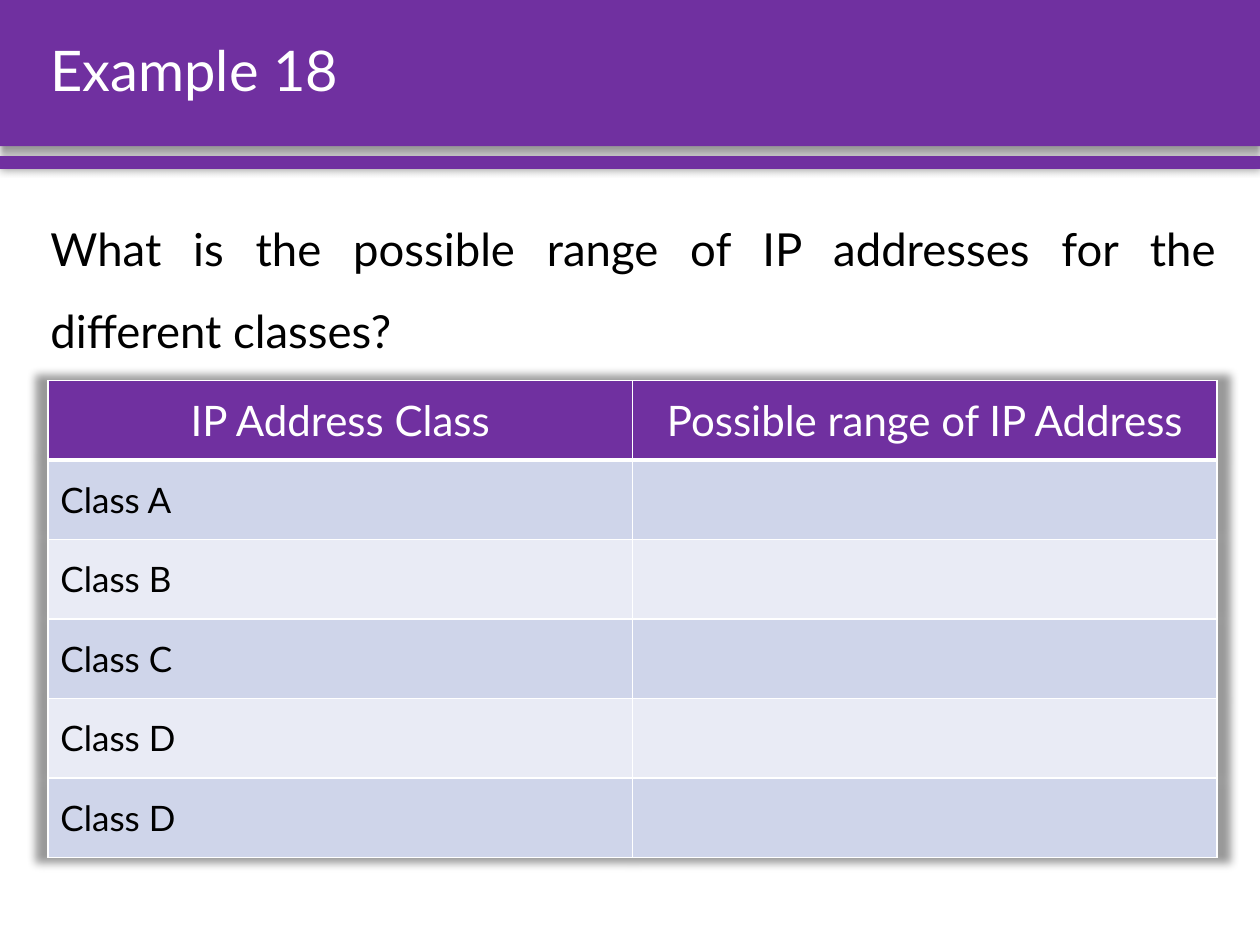
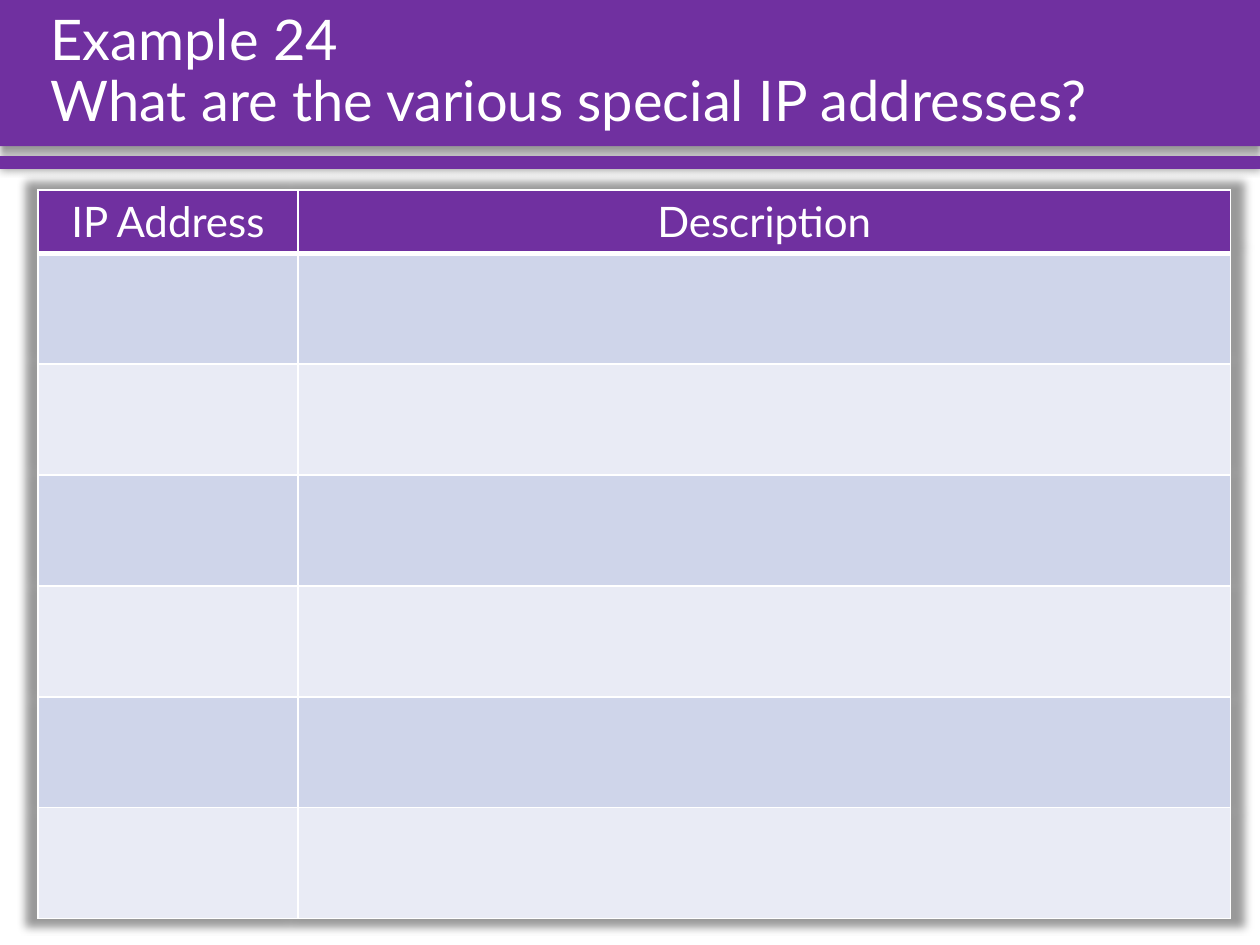
from dataclasses import dataclass
from lxml import etree
from pptx import Presentation
from pptx import util as u
from pptx.dml.color import RGBColor
from pptx.enum import shapes, text
from pptx.oxml import ns


@dataclass(frozen=True)
class Theme:
    font: str = "Lato"
    purple: RGBColor = RGBColor(0x70, 0x30, 0xA0)
    white: RGBColor = RGBColor(0xFF, 0xFF, 0xFF)
    black: RGBColor = RGBColor(0, 0, 0)
    stripes: tuple = (RGBColor(0xCF, 0xD5, 0xEA), RGBColor(0xE9, 0xEB, 0xF5))
    title: int = 32
    question: int = 26
    heading: int = 24
    entry: int = 20


theme = Theme()
deck = Presentation()
deck.slide_width, deck.slide_height = u.Inches(10), u.Inches(7.5)
COL, ROW = deck.slide_width / 100, deck.slide_height / 75


def write(paragraph, words, size, color):
    for i, line in enumerate(words.split("\n")):
        if i:
            paragraph.add_line_break()
        run = paragraph.add_run()
        run.text = line
        run.font.name, run.font.size = theme.font, u.Pt(size)
        run.font.color.rgb = color


def cast_shadow(effects, **settings):
    shadow = etree.SubElement(effects, ns.qn("a:outerShdw"), rotWithShape="0", **settings)
    black = etree.SubElement(shadow, ns.qn("a:srgbClr"), val=str(theme.black))
    etree.SubElement(black, ns.qn("a:alpha"), val="40000")


pages = [
    dict(title="Example 18",
         question="What is the possible range of IP addresses for the different classes?",
         at=(3.8, 30.2), columns=(46.4, 46.4), rows=[6.31] * 6,
         headings=("IP Address Class", "Possible range of IP Address"),
         entries=("Class A", "Class B", "Class C", "Class D", "Class D"),
         anchor=text.MSO_ANCHOR.MIDDLE),
    dict(title="Example 24\nWhat are the various special IP addresses?",
         question=None,
         at=(3, 15.1), columns=(20.65, 74), rows=[4.9] + [8.8] * 6,
         headings=("IP Address", "Description"), entries=[""] * 6,
         anchor=text.MSO_ANCHOR.TOP),
]
bands = [
    (0, 11.6, dict(blurRad="50800", dist="38100", dir="5400000", algn="t")),
    (12.4, 1, dict(blurRad="63500", algn="ctr")),
]

for page_number, page in enumerate(pages):
    slide = deck.slides.add_slide(deck.slide_layouts[1 if page["question"] else 5])

    if page_number == 0:
        for depth, (top, height, shadow) in enumerate(bands):
            band = slide.shapes.add_shape(
                shapes.MSO_SHAPE.RECTANGLE, 0, int(top * ROW), deck.slide_width, int(height * ROW))
            band.fill.solid()
            band.fill.fore_color.rgb = theme.purple
            band.line.fill.background()
            band.shadow.inherit = False
            cast_shadow(band.element.spPr.find(ns.qn("a:effectLst")), **shadow)
            deck.slide_master.shapes.element.insert(2 + depth, band.element)

    heading = slide.shapes.title
    heading.left, heading.top = int(3 * COL), 0
    heading.width, heading.height = int(94.6 * COL), int(11.6 * ROW)
    heading.text_frame.auto_size = text.MSO_AUTO_SIZE.NONE
    heading.text_frame.vertical_anchor = text.MSO_ANCHOR.MIDDLE
    line = heading.text_frame.paragraphs[0]
    line.alignment, line.line_spacing = text.PP_ALIGN.LEFT, 0.9
    write(line, page["title"], theme.title, theme.white)

    if page["question"]:
        question = slide.placeholders[1]
        question.left, question.top = int(3 * COL), int(14.9 * ROW)
        question.width, question.height = int(94.6 * COL), int(54.6 * ROW)
        question.text_frame.auto_size = text.MSO_AUTO_SIZE.NONE
        line = question.text_frame.paragraphs[0]
        line.alignment, line.line_spacing = text.PP_ALIGN.JUSTIFY, 1.5
        line.space_before = u.Pt(0)
        settings = line._p.get_or_add_pPr()
        settings.set("marL", "0")
        settings.set("indent", "0")
        etree.SubElement(settings, ns.qn("a:buNone"))
        write(line, page["question"], theme.question, theme.black)

    left, top = page["at"]
    frame = slide.shapes.add_table(
        len(page["rows"]), len(page["columns"]), int(left * COL), int(top * ROW),
        int(sum(page["columns"]) * COL), int(sum(page["rows"]) * ROW))
    ranges = frame.table
    effects = etree.Element(ns.qn("a:effectLst"))
    cast_shadow(effects, blurRad="63500", sx="102000", sy="102000", algn="ctr")
    ranges._tbl.tblPr.insert(0, effects)
    for column, width in zip(ranges.columns, page["columns"]):
        column.width = int(width * COL)
    for row, height in zip(ranges.rows, page["rows"]):
        row.height = int(height * ROW)

    contents = [page["headings"]] + [(entry, "") for entry in page["entries"]]
    for r, labels in enumerate(contents):
        for c, label in enumerate(labels):
            cell = ranges.cell(r, c)
            cell.vertical_anchor = page["anchor"]
            cell.fill.solid()
            cell.fill.fore_color.rgb = theme.stripes[(r - 1) % 2] if r else theme.purple
            line = cell.text_frame.paragraphs[0]
            line.alignment = text.PP_ALIGN.LEFT if r else text.PP_ALIGN.CENTER
            if label:
                write(line, label, theme.entry if r else theme.heading,
                      theme.black if r else theme.white)
            thick_side = {0: "B", 1: "T"}.get(r)
            for order, side in enumerate("LRTB"):
                weight = u.Pt(3 if side == thick_side else 1)
                border = etree.Element(ns.qn(f"a:ln{side}"), w=str(weight))
                ink = etree.SubElement(border, ns.qn("a:solidFill"))
                etree.SubElement(ink, ns.qn("a:srgbClr"), val=str(theme.white))
                cell._tc.tcPr.insert(order, border)

deck.save("out.pptx")
